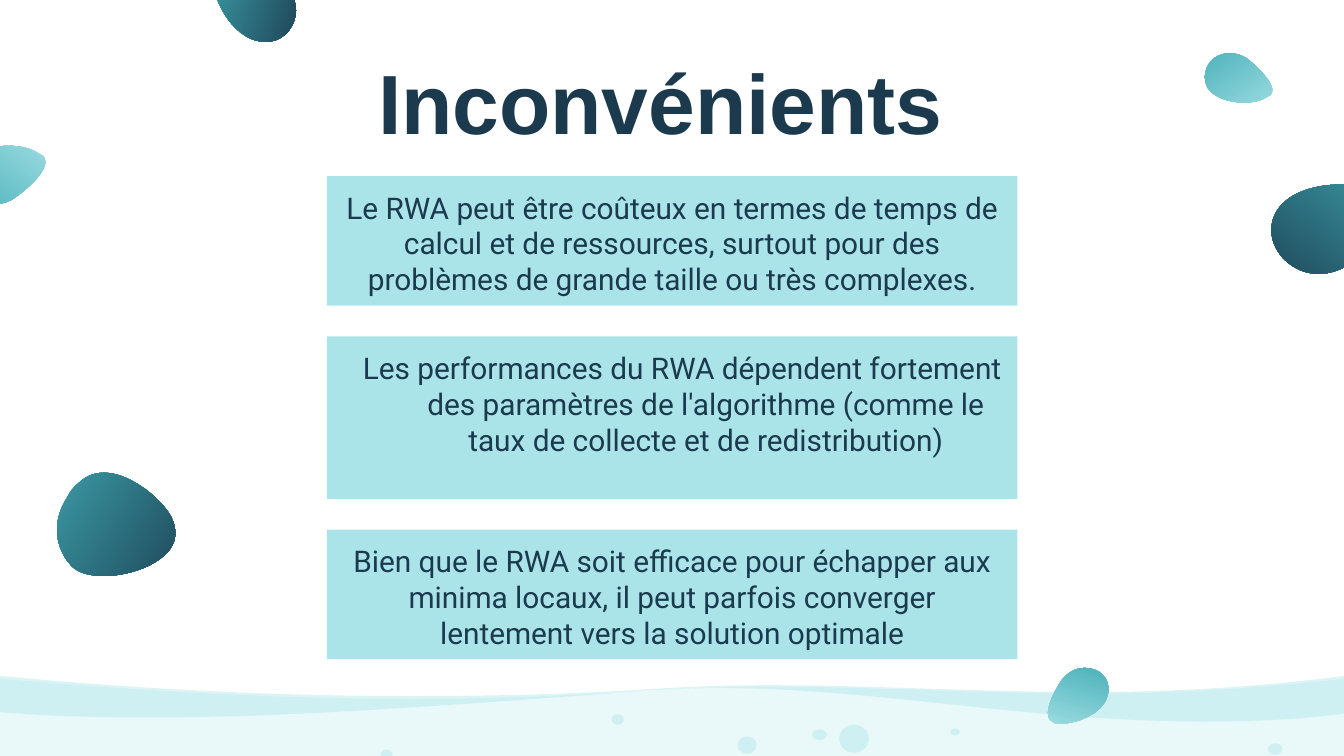
import math
from dataclasses import dataclass

from lxml import etree
from pptx import Presentation
from pptx import util as u
from pptx.dml.color import RGBColor
from pptx.enum import shapes, text
from pptx.oxml import ns


@dataclass(frozen=True)
class Theme:
    ink: RGBColor = RGBColor.from_string("1B3A4E")
    teal: RGBColor = RGBColor.from_string("40AAB3")
    aqua: RGBColor = RGBColor.from_string("AAE4E9")
    title_size: u.Pt = u.Pt(45)
    body_size: u.Pt = u.Pt(16)
    title_font: str = "Arial"
    body_font: str = "Roboto"


theme = Theme()
FINE = 100
UNIT = u.Cm(2.54) / 100


def draw_outline(box, segments, rotation=0):
    left, top, width, height = box
    cx, cy = left + width / 2, top + height / 2
    cos, sin = math.cos(math.radians(rotation)), math.sin(math.radians(rotation))
    points = [(x, y) for segment in segments for x, y in zip(segment[::2], segment[1::2])]
    level = [(FINE * (cx - left + (x - cx) * cos + (y - cy) * sin),
              FINE * (cy - top - (x - cx) * sin + (y - cy) * cos)) for x, y in points]
    pen = slide.shapes.build_freeform(*level[0], scale=UNIT / FINE)
    pen.add_line_segments(level[1:], close=True)
    outline = pen.convert_to_shape()
    outline.left, outline.top, outline.width, outline.height = (
        u.Emu(round(side * UNIT)) for side in box)
    outline.rotation = rotation
    outline.shadow.inherit = False
    outline.line.fill.background()

    track = outline.element.find(".//" + ns.qn("a:path"))
    track.set("w", str(width * FINE))
    track.set("h", str(height * FINE))
    for point, (x, y) in zip(track.iter(ns.qn("a:pt")), level):
        point.set("x", str(round(x)))
        point.set("y", str(round(y)))
    lines = iter(track.findall(ns.qn("a:lnTo")))
    for segment in segments[1:]:
        first = next(lines)
        if len(segment) == 6:
            curve = etree.Element(ns.qn("a:cubicBezTo"))
            first.addprevious(curve)
            for line in (first, next(lines), next(lines)):
                curve.append(line[0])
                track.remove(line)
    return outline


def set_text(frame, words, font, size, bold, anchor):
    frame.text = words
    frame.word_wrap = True
    frame.auto_size = text.MSO_AUTO_SIZE.NONE
    frame.vertical_anchor = anchor
    frame.margin_left = frame.margin_right = u.Cm(0.25)
    frame.margin_top = frame.margin_bottom = u.Cm(0.25)
    paragraph = frame.paragraphs[0]
    paragraph.alignment = text.PP_ALIGN.CENTER
    run = paragraph.runs[0]
    run.font.name, run.font.size, run.font.bold = font, size, bold
    run.font.color.rgb = theme.ink
    return paragraph


deck = Presentation()
deck.slide_width, deck.slide_height = u.Cm(25.4), u.Cm(14.29)
slide = deck.slides.add_slide(deck.slide_layouts[5])

near_wave = [(0, 505), (0, 637), (1000, 637), (1000, 505),
             (931, 513, 869, 516, 809, 516), (727, 516, 650, 511, 573, 511),
             (543, 511, 513, 512, 483, 514), (420, 518, 362, 520, 306, 520),
             (194, 520, 95, 513, 0, 505)]
far_wave = [(0, 503), (0, 530), (36, 533, 73, 534, 111, 534),
            (223, 534, 343, 524, 482, 514), (500, 513, 517, 512, 534, 512),
            (652, 512, 764, 537, 895, 537), (928, 537, 963, 536, 1000, 531),
            (1000, 503), (931, 512, 869, 515, 809, 515),
            (726, 515, 650, 510, 572, 510), (542, 510, 512, 511, 481, 513),
            (419, 517, 361, 518, 306, 518), (194, 518, 95, 512, 0, 503)]
water = [(draw_outline((0, 505, 1000, 132), near_wave), 26),
         (draw_outline((0, 503, 1000, 34), far_wave), 40)]

for left, top, width, height in [
    (15.86, 13.7, 0.56, 0.53), (13.94, 13.92, 0.36, 0.33),
    (7.19, 14.17, 0.23, 0.2), (11.56, 13.5, 0.23, 0.2),
    (15.35, 13.79, 0.28, 0.2), (17.96, 13.77, 0.18, 0.13),
    (23.96, 14.05, 0.28, 0.22),
]:
    bubble = slide.shapes.add_shape(shapes.MSO_SHAPE.OVAL, u.Cm(left), u.Cm(top),
                                    u.Cm(width), u.Cm(height))
    bubble.shadow.inherit = False
    bubble.line.fill.background()
    water.append((bubble, 40))

for part, opacity in water:
    part.fill.solid()
    part.fill.fore_color.rgb = theme.aqua
    tint = part.element.spPr.find(".//" + ns.qn("a:srgbClr"))
    etree.SubElement(tint, ns.qn("a:alpha")).set("val", str(opacity * 1000))

deep = (theme.teal, theme.ink)
pale = (theme.aqua, theme.teal)
drops = [
    (deep, 107.9, (158, -38, 61, 70),
     [(219, 15), (222, 6, 220, -5, 208, -14), (204, -18, 166, -42, 160, -28),
      (159, -27, 159, -27, 159, -26), (154, -11, 167, 23, 190, 30),
      (204, 34, 215, 27, 219, 15)]),
    (deep, 218.7, (952, 127, 83, 85),
     [(959, 196), (969, 204, 984, 207, 1000, 199), (1006, 196, 1051, 164, 1036, 149),
      (1036, 149, 1035, 148, 1034, 147), (1018, 134, 970, 132, 952, 154),
      (941, 168, 946, 186, 959, 196)]),
    (pale, 17.3, (778, 495, 45, 47),
     [(813, 498), (806, 496, 798, 497, 791, 505), (789, 507, 773, 532, 783, 537),
      (783, 537, 784, 537, 784, 538), (795, 541, 820, 533, 824, 518),
      (827, 508, 821, 500, 813, 498)]),
    (pale, 218.7, (-23, 102, 53, 55),
     [(-19, 147), (-12, 152, -2, 154, 8, 149), (12, 147, 41, 126, 32, 116),
      (31, 116, 31, 115, 30, 115), (19, 106, -11, 105, -23, 120),
      (-30, 129, -27, 140, -19, 147)]),
    (deep, 123.3, (41, 351, 89, 85),
     [(127, 408), (131, 402, 132, 394, 127, 384), (118, 368, 81, 338, 59, 359),
      (55, 362, 52, 366, 50, 370), (37, 390, 42, 410, 54, 422),
      (68, 435, 113, 428, 127, 408)]),
    (pale, 325.1, (899, 36, 45, 47),
     [(904, 43), (910, 39, 918, 38, 927, 43), (930, 45, 953, 64, 945, 71),
      (944, 72, 944, 72, 943, 72), (934, 79, 908, 78, 899, 66),
      (894, 58, 897, 48, 904, 43)]),
]
for colors, rotation, box, segments in drops:
    drop = draw_outline(box, segments, rotation)
    drop.fill.gradient()
    drop.fill.gradient_angle = 90
    for stop, color, position in zip(drop.fill.gradient_stops, colors, (0, 1)):
        stop.color.rgb = color
        stop.position = position

column_left, column_width = u.Cm(6.18), u.Cm(13.05)
heading = slide.shapes.title
heading.left, heading.top = column_left, u.Cm(0.84)
heading.width, heading.height = column_width, u.Cm(2.13)
set_text(heading.text_frame, "Inconvénients ", theme.title_font, theme.title_size,
         True, text.MSO_ANCHOR.MIDDLE)

drawbacks = [
    ("Le RWA peut être coûteux en termes de temps de calcul et de ressources, "
     "surtout pour des problèmes de grande taille ou très complexes.", 2.45, False),
    ("Les performances du RWA dépendent fortement des paramètres de l'algorithme "
     "(comme le taux de collecte et de redistribution)", 3.07, True),
    ("Bien que le RWA soit efficace pour échapper aux minima locaux, il peut parfois "
     "converger lentement vers la solution optimale", 2.45, False),
]
card_top, card_gap = 3.33, 0.58
for words, height, hanging in drawbacks:
    card = slide.shapes.add_shape(shapes.MSO_SHAPE.RECTANGLE, column_left,
                                  u.Cm(card_top), column_width, u.Cm(height))
    card.shadow.inherit = False
    card.line.fill.background()
    card.fill.solid()
    card.fill.fore_color.rgb = theme.aqua
    paragraph = set_text(card.text_frame, words, theme.body_font, theme.body_size,
                         False, text.MSO_ANCHOR.TOP)
    if hanging:
        properties = paragraph._p.get_or_add_pPr()
        properties.set("marL", str(u.Cm(1.27)))
        properties.set("indent", str(u.Cm(-0.89)))
    card_top += height + card_gap

deck.save("out.pptx")
